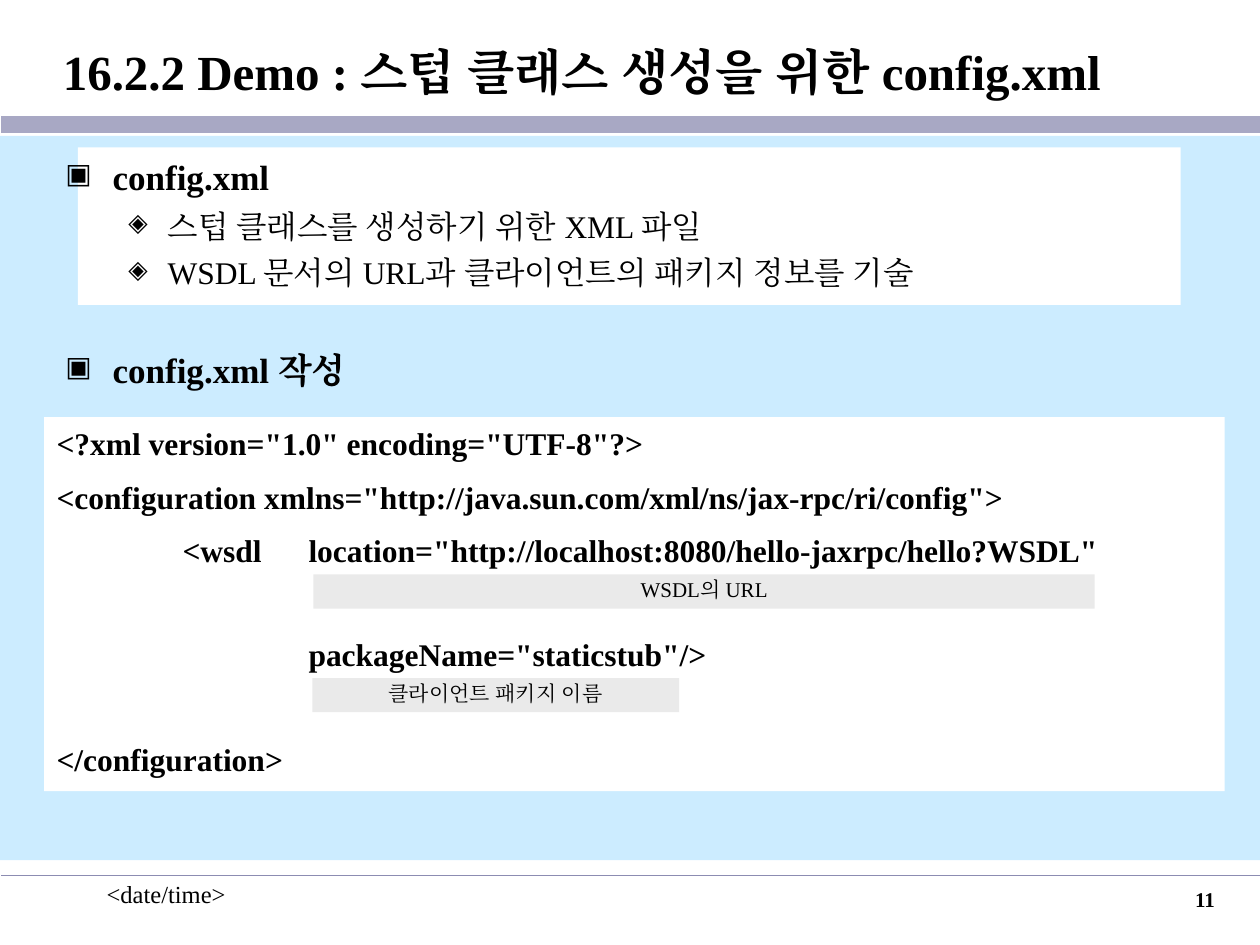
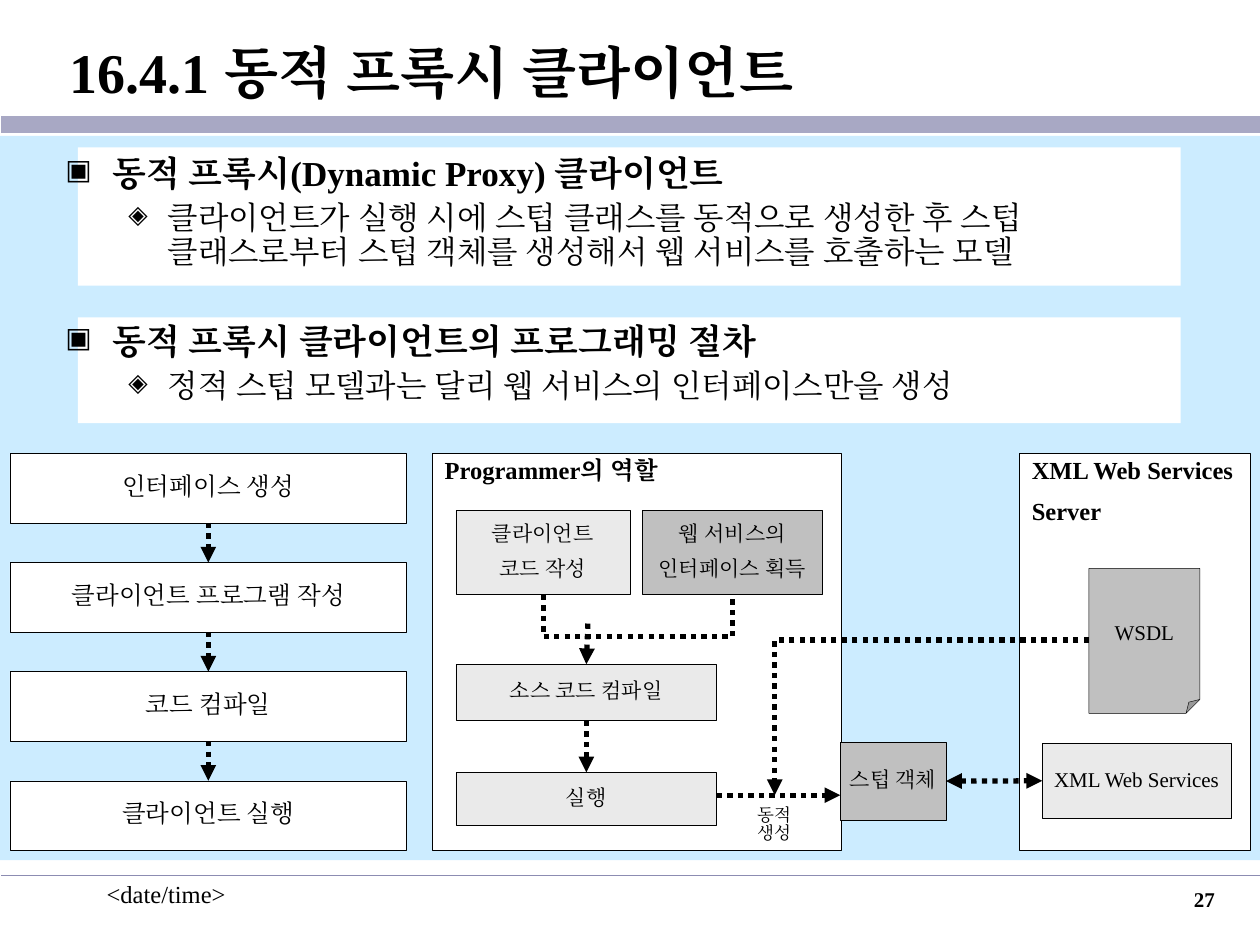
from dataclasses import dataclass

from lxml.etree import SubElement
from pptx import Presentation
from pptx.dml.color import RGBColor
from pptx.enum.dml import MSO_LINE
from pptx.enum.shapes import MSO_CONNECTOR, MSO_SHAPE
from pptx.enum.text import MSO_ANCHOR, PP_ALIGN
from pptx.oxml.ns import qn
from pptx.util import Cm, Pt


@dataclass(frozen=True)
class Theme:
    latin: str = "Times New Roman"
    korean: str = "Noto Sans CJK KR"
    ink: str = "000000"
    paper: str = "FFFFFF"
    sky: str = "CCECFF"
    band: str = "A8A8C4"
    rule: str = "8C8CB2"
    pale: str = "EAEAEA"
    grey: str = "C0C0C0"
    heading: int = 20
    body: int = 18
    label: int = 14
    small: int = 12
    tiny: int = 10
    outline: float = 0.25
    dotted: float = 3
    tight: float = 0.85


THEME = Theme()

# Positions are (left, top, width, height) in centimetres.
CONFIG_PAGE = {
    "title": "16.2.2 Demo : 스텁 클래스 생성을 위한 config.xml",
    "title_size": 28,
    "number": 11,
    "panels": [(1.57, 2.97, 22.23, 3.18)],
    "body_height": 5.16,
    "spacing": 1.0,
    "section_gap": 33,
    "sections": [
        ("config.xml", ["스텁 클래스를 생성하기 위한 XML 파일",
                        "WSDL 문서의 URL과 클라이언트의 패키지 정보를 기술"]),
        ("config.xml 작성", []),
    ],
}
CODE_PLACE = (0.89, 8.41, 23.8, 7.54)
CODE_GAP, CODE_WIDE_GAP = 12, 41.5
CODE_LINES = [
    ('<?xml version="1.0" encoding="UTF-8"?>', CODE_GAP),
    ('<configuration xmlns="http://java.sun.com/xml/ns/jax-rpc/ri/config">', CODE_GAP),
    ('\t<wsdl\tlocation="http://localhost:8080/hello-jaxrpc/hello?WSDL"', CODE_GAP),
    ('\t\tpackageName="staticstub"/>', CODE_WIDE_GAP),
    ("</configuration>", CODE_WIDE_GAP),
]
CODE_NOTES = [
    ("WSDL의 URL", (6.32, 11.58, 15.75, 0.69)),
    ("클라이언트 패키지 이름", (6.3, 13.67, 7.39, 0.69)),
]

PROXY_PAGE = {
    "title": "16.4.1 동적 프록시 클라이언트",
    "title_size": 32,
    "number": 27,
    "panels": [(1.57, 2.97, 22.23, 2.79), (1.57, 6.4, 22.23, 2.13)],
    "body_height": 5.82,
    "spacing": 0.9,
    "section_gap": 30.5,
    "sections": [
        ("동적 프록시(Dynamic Proxy) 클라이언트",
         ["클라이언트가 실행 시에 스텁 클래스를 동적으로 생성한 후 스텁 클래스로부터 "
          "스텁 객체를 생성해서 웹 서비스를 호출하는 모델"]),
        ("동적 프록시 클라이언트의 프로그래밍 절차",
         ["정적 스텁 모델과는 달리 웹 서비스의 인터페이스만을 생성"]),
    ],
}
STEPS = ["인터페이스 생성", "클라이언트 프로그램 작성", "코드 컴파일", "클라이언트 실행"]
STEP_PLACE, STEP_PITCH = (0.2, 9.14, 8, 1.4), 2.2
ROLE_PANELS = [(8.71, 9.14, 8.26, 8), (20.55, 9.14, 4.65, 8)]
ROLE_TITLES = [
    (["Programmer의 역할"], (8.64, 9.14, 4.95, 0.76), PP_ALIGN.CENTER),
    (["XML Web Services", "Server"], (20.55, 9.14, 4.65, 1.57), PP_ALIGN.LEFT),
]
PARTS = {
    "client code": (["클라이언트", "코드 작성"], (9.19, 10.29, 3.51, 1.7), THEME.pale),
    "interface": (["웹 서비스의", "인터페이스 획득"], (12.95, 10.29, 3.63, 1.7), THEME.grey),
    "compile": (["소스 코드 컴파일"], (9.19, 13.39, 5.26, 1.14), THEME.pale),
    "run": (["실행"], (9.19, 15.57, 5.26, 1.07), THEME.pale),
    "wsdl": (["WSDL"], (21.95, 11.46, 2.24, 2.92), THEME.grey),
    "services": (["XML Web Services"], (21.01, 14.99, 3.81, 1.5), THEME.pale),
    "stub": (["스텁 객체"], (16.94, 14.96, 2.13, 1.57), THEME.grey),
}
MERGE_PATH = [(10.95, 11.99), (10.95, 12.83), (14.77, 12.83), (14.77, 11.99)]
WSDL_PATH = [(21.95, 12.9), (15.62, 12.9), (15.62, 16.03)]
MERGE_START = (11.85, 12.57)
CREATE_ARROW = ((14.45, 16.03), (16.94, 16.03))
CREATE_LABEL = ("동적 생성", (14.66, 16.15, 1.9, 0.61))


def color(value):
    return RGBColor.from_string(value)


def lengths(values):
    return [Cm(value) for value in values]


def write(box, lines, size, bold=False, align=PP_ALIGN.LEFT, spacing=None,
          gaps=None, font=THEME.latin):
    """Fill a box with one paragraph per line; gaps are the spaces before, in points."""
    frame = box.text_frame
    frame.text = "\n".join(lines)
    for index, para in enumerate(frame.paragraphs):
        para.alignment = align
        if spacing:
            para.line_spacing = spacing
        if gaps and index:
            para.space_before = Pt(gaps[index])
        style_runs(para, size, bold, font)


def style_runs(para, size, bold, font):
    for span in para.runs:
        span.font.size = Pt(size)
        span.font.bold = bold
        span.font.name = font
        span.font.color.rgb = color(THEME.ink)
        SubElement(span.font._element, qn("a:ea"), typeface=THEME.latin)


def add_text(page, place, lines, size, wrap=True, **style):
    box = page.shapes.add_textbox(*lengths(place))
    box.text_frame.word_wrap = wrap
    write(box, lines, size, **style)
    return box


def add_block(page, place, fill, outlined=False, kind=MSO_SHAPE.RECTANGLE):
    box = page.shapes.add_shape(kind, *lengths(place))
    box.shadow.inherit = False
    box.fill.solid()
    box.fill.fore_color.rgb = color(fill)
    if outlined:
        box.line.color.rgb = color(THEME.ink)
        box.line.width = Pt(THEME.outline)
    else:
        box.line.fill.background()
    box.text_frame.word_wrap = False
    box.text_frame.vertical_anchor = MSO_ANCHOR.MIDDLE
    return box


def add_label_block(page, place, lines, size, fill, **look):
    box = add_block(page, place, fill, **look)
    write(box, lines, size, align=PP_ALIGN.CENTER, spacing=THEME.tight,
          gaps=[size * 0.67] * len(lines))
    return box


def add_line(page, start, end, stroke, width):
    line = page.shapes.add_connector(MSO_CONNECTOR.STRAIGHT, *lengths(start + end))
    line.line.color.rgb = color(stroke)
    line.line.width = Pt(width)
    SubElement(line._element.spPr, qn("a:effectLst"))
    return line


def make_dotted(shape, ends=()):
    """Give a line square dots and triangles at the named ends (head, tail)."""
    shape.line.color.rgb = color(THEME.ink)
    shape.line.width = Pt(THEME.dotted)
    shape.line.dash_style = MSO_LINE.ROUND_DOT
    outline = shape._element.spPr.find(qn("a:ln"))
    for end in ends:
        SubElement(outline, qn(f"a:{end}End"), type="triangle")


def add_arrow(page, start=(0, 0), end=(0, 0), source=None, target=None, ends=("tail",)):
    """Draw a dotted arrow; source and target are (box, side) pairs to join."""
    arrow = add_line(page, start, end, THEME.ink, THEME.dotted)
    make_dotted(arrow, ends)
    if source:
        arrow.begin_connect(*source)
    if target:
        arrow.end_connect(*target)


def add_dotted_path(page, points, ends=()):
    first, *rest = [tuple(lengths(point)) for point in points]
    builder = page.shapes.build_freeform(*first, scale=1.0)
    builder.add_line_segments(rest, close=False)
    route = builder.convert_to_shape()
    route.shadow.inherit = False
    route.fill.background()
    make_dotted(route, ends)


def add_bullet(para, mark, left, hanging):
    properties = para._p.get_or_add_pPr()
    properties.set("marL", str(Cm(left)))
    properties.set("indent", str(-Cm(hanging)))
    tint = SubElement(properties, qn("a:buClr"))
    SubElement(tint, qn("a:srgbClr"), val=THEME.ink)
    SubElement(properties, qn("a:buSzPct"), val="80000")
    SubElement(properties, qn("a:buChar"), char=mark)


def add_body(page, content):
    rows = []
    for heading, points in content["sections"]:
        rows.append((heading, True))
        rows += [(point, False) for point in points]
    box = add_text(page, (1.07, 3.02, 23.27, content["body_height"]),
                   [text for text, _ in rows], THEME.body)
    for index, (para, (_, is_heading)) in enumerate(zip(box.text_frame.paragraphs, rows)):
        para.line_spacing = content["spacing"]
        if index:
            para.space_before = Pt(content["section_gap"] if is_heading else 5)
        if is_heading:
            add_bullet(para, "▣", 0.95, 0.95)
            for span in para.runs:
                span.font.size = Pt(THEME.heading)
                span.font.bold = True
        else:
            para.level = 1
            add_bullet(para, "◈", 2.06, 0.79)


def add_page(deck, content):
    """Add a page with the shared title, bands, footer and bulleted body."""
    page = deck.slides.add_slide(deck.slide_layouts[6])
    add_text(page, (1.9, 17.6, 5.28, 1.27), ["<date/time>"], THEME.label)
    add_line(page, (0.03, 2.51), (25.4, 2.51), THEME.band, 9.25)
    add_line(page, (0.03, 17.65), (25.4, 17.65), THEME.rule, 1)
    add_block(page, (0, 2.74, 25.4, 14.6), THEME.sky)
    for place in content["panels"]:
        add_block(page, place, THEME.paper)
    size = content["title_size"]
    title = add_text(page, (0.03, 0.28, 25.37, 2.29), [content["title"]], size, bold=True)
    title.text_frame.margin_left = Cm(0.25) + Pt(size)
    title.text_frame.vertical_anchor = MSO_ANCHOR.MIDDLE
    add_body(page, content)
    add_text(page, (19.46, 17.75, 5.28, 1.27), [str(content["number"])], THEME.small,
             bold=True, align=PP_ALIGN.RIGHT)
    return page


def add_code(page):
    box = add_block(page, CODE_PLACE, THEME.paper)
    lines, gaps = zip(*CODE_LINES)
    write(box, lines, THEME.body, bold=True, spacing=THEME.tight, gaps=gaps)
    for para in box.text_frame.paragraphs:
        stops = SubElement(para._p.get_or_add_pPr(), qn("a:tabLst"))
        for position in (2.54, 5.08):
            SubElement(stops, qn("a:tab"), pos=str(Cm(position)), algn="l")
    for note, place in CODE_NOTES:
        add_label_block(page, place, [note], THEME.small, THEME.pale)


def add_steps(page):
    left, top, width, height = STEP_PLACE
    boxes = [add_label_block(page, (left, top + index * STEP_PITCH, width, height), [step],
                             THEME.label, THEME.paper, outlined=True)
             for index, step in enumerate(STEPS)]
    for upper, lower in zip(boxes, boxes[1:]):
        add_arrow(page, source=(upper, 2), target=(lower, 0))


def add_roles(page):
    for place in ROLE_PANELS:
        add_block(page, place, THEME.paper, outlined=True)
    for lines, place, align in ROLE_TITLES:
        add_text(page, place, lines, THEME.label, wrap=False, bold=True, align=align,
                 spacing=THEME.tight, gaps=[9.2] * len(lines))
    boxes = {}
    for name, (lines, place, fill) in PARTS.items():
        kind = MSO_SHAPE.FOLDED_CORNER if name == "wsdl" else MSO_SHAPE.RECTANGLE
        boxes[name] = add_label_block(page, place, lines, THEME.small, fill,
                                      outlined=True, kind=kind)
    fold = next(boxes["wsdl"]._element.spPr.iter(qn("a:avLst")))
    SubElement(fold, qn("a:gd"), name="adj", fmla="val 12500")

    add_arrow(page, source=(boxes["compile"], 2), target=(boxes["run"], 0))
    add_arrow(page, *CREATE_ARROW)
    add_arrow(page, source=(boxes["stub"], 3), target=(boxes["services"], 1),
              ends=("head", "tail"))
    add_dotted_path(page, WSDL_PATH, ("tail",))
    add_dotted_path(page, MERGE_PATH)
    add_arrow(page, start=MERGE_START, target=(boxes["compile"], 0))
    label, place = CREATE_LABEL
    add_text(page, place, [label], THEME.tiny, wrap=False, align=PP_ALIGN.CENTER,
             spacing=THEME.tight, font=THEME.korean)


def main():
    deck = Presentation()
    deck.slide_width, deck.slide_height = Cm(25.4), Cm(19.05)
    add_code(add_page(deck, CONFIG_PAGE))
    proxy_page = add_page(deck, PROXY_PAGE)
    add_steps(proxy_page)
    add_roles(proxy_page)
    deck.save("out.pptx")


if __name__ == "__main__":
    main()
